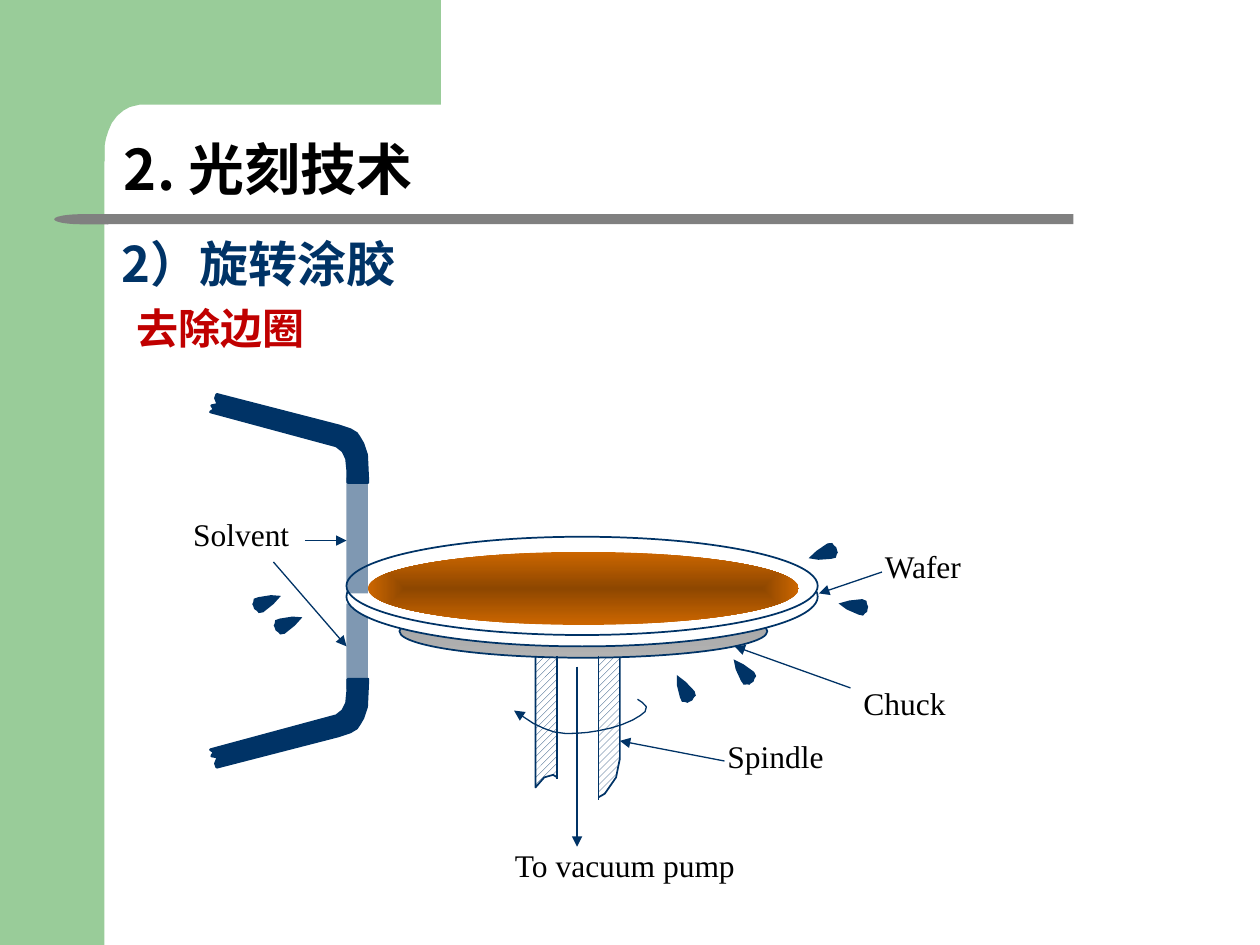
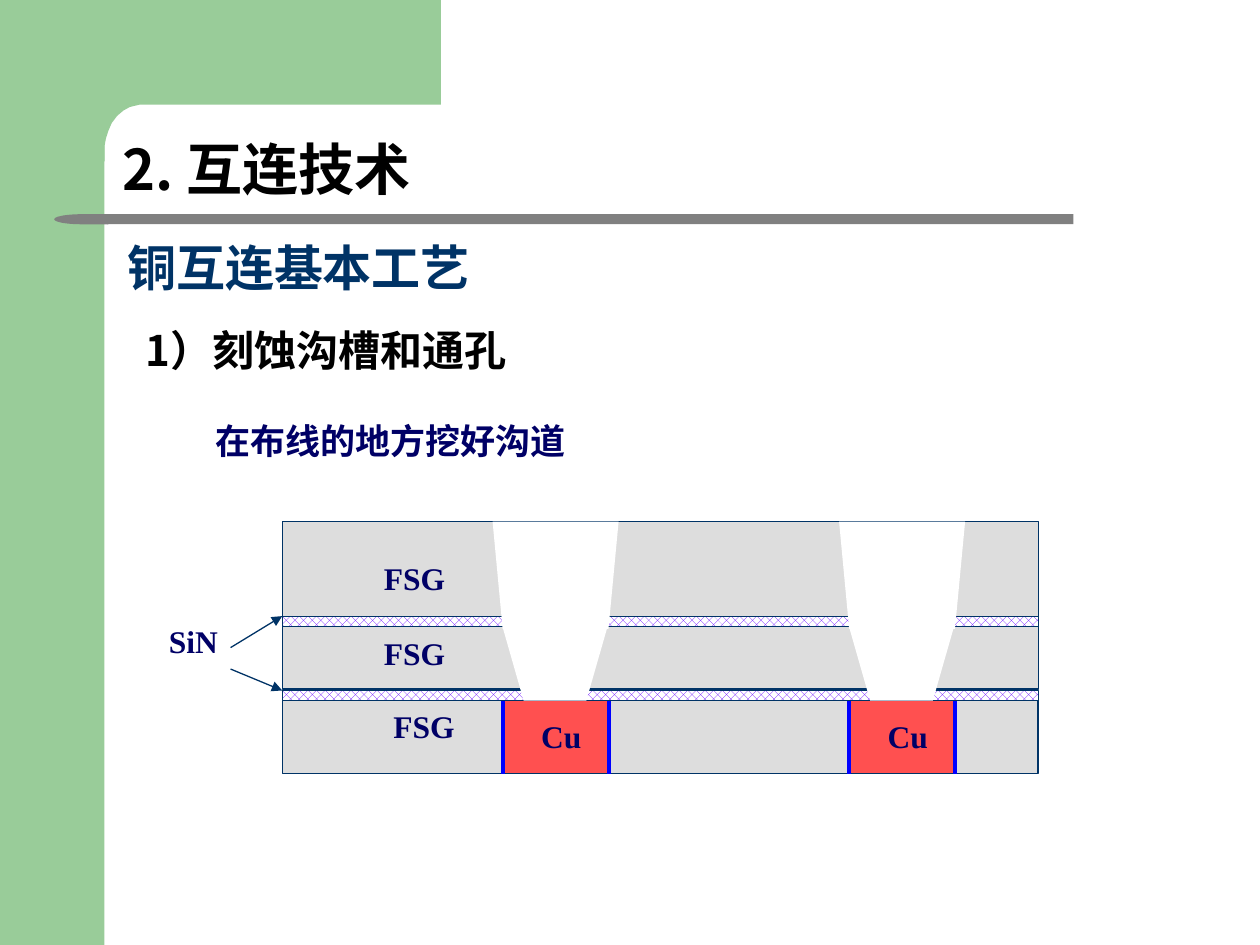
from dataclasses import dataclass
from typing import Any

from lxml import etree
from pptx import Presentation
from pptx.dml.color import RGBColor
from pptx.enum.dml import MSO_PATTERN
from pptx.enum.shapes import MSO_CONNECTOR, MSO_SHAPE
from pptx.enum.text import MSO_ANCHOR, MSO_AUTO_SIZE, PP_ALIGN
from pptx.oxml.ns import qn
from pptx.util import Inches, Pt

RECT, ELLIPSE, ROUNDED = MSO_SHAPE.RECTANGLE, MSO_SHAPE.OVAL, MSO_SHAPE.ROUNDED_RECTANGLE
FUNNEL, DELAY = MSO_SHAPE.FLOWCHART_MANUAL_OPERATION, MSO_SHAPE.FLOWCHART_DELAY
STRAIGHT = MSO_CONNECTOR.STRAIGHT
HATCH, DOTS = MSO_PATTERN.WIDE_UPWARD_DIAGONAL, MSO_PATTERN.PERCENT_50
LEFT, CENTER = PP_ALIGN.LEFT, PP_ALIGN.CENTER
BOTTOM, TOP = MSO_ANCHOR.BOTTOM, MSO_ANCHOR.TOP
NO_FIT = MSO_AUTO_SIZE.NONE

SANS, SERIF, ARIAL = "Noto Sans CJK SC", "Times New Roman", "Arial"
COLORS = {
    "band": "99CC99", "rule": "808080", "navy": "003366", "ink": "000066",
    "black": "000000", "white": "FFFFFF", "red": "C00000", "oxide": "DDDDDD",
    "copper": "FF5050", "barrier": "0000FF", "nitride": "6600FF",
    "chuck dark": "A0A0A0", "chuck light": "B2B2B2",
    "resist dark": "8E4700", "resist light": "CC6600",
}

# Outlines: two numbers are a corner, six a cubic curve.
CORNER = [(3, 0), (3, 0.83), (0.66, 0.83), (0.61, 0.83), (0.53, 0.85),
          (0.5, 0.86, 0.46, 0.89, 0.43, 0.92), (0.4, 0.95, 0.37, 1, 0.36, 1.04),
          (0.34, 1.08, 0.34, 1.12, 0.33, 1.16), (0.33, 1.28), (0, 1.28), (0, 0)]
PIPE = [(0.05, 0), (1.02, 0.25), (1.11, 0.28), (1.16, 0.31), (1.18, 0.34),
        (1.21, 0.39), (1.24, 0.48), (1.25, 0.7), (1.09, 0.7), (1.09, 0.61),
        (1.08, 0.51), (1.05, 0.45), (1, 0.41), (0, 0.14), (0.03, 0.12),
        (0.01, 0.09), (0.06, 0.08), (0.04, 0.03)]
SPINDLE = [(0, 0), (0, 1.19), (0.07, 1.11), (0.14, 1.09), (0.26, 1.16),
           (0.35, 1.25), (0.46, 1.29), (0.55, 1.24), (0.64, 1.11),
           (0.67, 0.96), (0.67, 0)]
SPIN = [(0.98, 0), (0.99, 0.01, 1.05, 0.04, 1.05, 0.06),
        (1.06, 0.09, 1.03, 0.11, 1, 0.13), (0.97, 0.15, 0.92, 0.18, 0.86, 0.2),
        (0.81, 0.22, 0.73, 0.24, 0.67, 0.25), (0.61, 0.26, 0.55, 0.27, 0.5, 0.27),
        (0.46, 0.28, 0.37, 0.27, 0.32, 0.26), (0.28, 0.25, 0.2, 0.22, 0.15, 0.19),
        (0.12, 0.17, 0.03, 0.11, 0, 0.09)]
DROP = [(0.23, 0.02), (0.23, 0.04, 0.12, 0.13, 0.09, 0.15),
        (0.05, 0.17, 0.05, 0.15, 0.04, 0.14), (0.02, 0.13, 0.01, 0.12, 0.01, 0.1),
        (0, 0.09, 0, 0.08, 0.01, 0.07), (0.01, 0.05, 0.01, 0.03, 0.05, 0.03),
        (0.09, 0.02, 0.22, 0, 0.23, 0.02)]
TRENCH = [(0, 0), (0.08, 0.85), (0.92, 0.85), (1, 0)]


def rgb(name):
    return RGBColor.from_string(COLORS[name])


def flatten(outline, steps=2):
    """Turn corners and cubic curves into plain points."""
    points = [outline[0]]
    for part in outline[1:]:
        if len(part) == 2:
            points.append(part)
            continue
        controls = [points[-1], part[:2], part[2:4], part[4:]]
        for step in range(1, steps + 1):
            t = step / steps
            weights = ((1 - t) ** 3, 3 * t * (1 - t) ** 2, 3 * t * t * (1 - t), t ** 3)
            points.append(tuple(sum(w * c[axis] for w, c in zip(weights, controls))
                                for axis in (0, 1)))
    return points


def paint(shape, fill, line=None, width=0.75):
    shape.shadow.inherit = False
    if fill:
        shape.fill.solid()
        shape.fill.fore_color.rgb = rgb(fill)
    else:
        shape.fill.background()
    if line:
        shape.line.color.rgb = rgb(line)
        shape.line.width = Pt(width)
    else:
        shape.line.fill.background()


def hatch(shape, pattern, color):
    shape.fill.patterned()
    shape.fill.pattern = pattern
    shape.fill.fore_color.rgb = rgb(color)
    shape.fill.back_color.rgb = rgb("white")


def shade(shape, first, last, radial=False):
    """Blend two colours downwards, or outwards from the centre."""
    shape.fill.gradient()
    shape.fill.gradient_angle = 270
    for stop, color in zip(shape.fill.gradient_stops, (first, last)):
        stop.color.rgb = rgb(color)
    if radial:
        gradient = shape.element.find(".//" + qn("a:gradFill"))
        direction = etree.Element(qn("a:path"), {"path": "shape"})
        center = dict.fromkeys("ltrb", "50000")
        etree.SubElement(direction, qn("a:fillToRect"), center)
        gradient.replace(gradient.find(qn("a:lin")), direction)


def half_transparent(shape):
    color = shape.element.spPr.find(qn("a:solidFill"))[0]
    etree.SubElement(color, qn("a:alpha"), {"val": "50000"})


def add_arrowhead(shape):
    outline = shape.element.spPr.find(qn("a:ln"))
    etree.SubElement(outline, qn("a:tailEnd"), {"type": "triangle"})


def write(box, text, size, color, font, bold=True, align=LEFT, anchor=TOP, spacing=1.0):
    frame = box.text_frame
    frame.text = text
    frame.auto_size = NO_FIT
    frame.word_wrap = align == LEFT
    frame.vertical_anchor = anchor
    para = frame.paragraphs[0]
    para.alignment, para.line_spacing = align, spacing
    span = para.runs[0]
    span.font.name, span.font.size, span.font.bold = font, Pt(size), bold
    span.font.color.rgb = rgb(color)
    etree.SubElement(span.font._element, qn("a:ea"), {"typeface": SANS})


@dataclass
class Region:
    """Part of a page; its parts are placed in inches from its corner."""
    page: Any
    left: float
    top: float

    def at(self, x, y):
        return Inches(self.left + x), Inches(self.top + y)

    def shape(self, kind, x, y, width, height, fill, line=None, weight=0.75):
        shape = self.page.shapes.add_shape(
            kind, *self.at(x, y), Inches(width), Inches(height))
        paint(shape, fill, line, weight)
        return shape

    def outline(self, points, x, y, fill, line=None, weight=0.75, close=True):
        start, *rest = [self.at(x + dx, y + dy) for dx, dy in flatten(points)]
        builder = self.page.shapes.build_freeform(*start)
        builder.add_line_segments(rest, close=close)
        shape = builder.convert_to_shape()
        paint(shape, fill, line, weight)
        return shape

    def line(self, start, end, color="navy", weight=0.75, arrow=False):
        line = self.page.shapes.add_connector(STRAIGHT, *self.at(*start), *self.at(*end))
        line.line.color.rgb = rgb(color)
        line.line.width = Pt(weight)
        if arrow:
            add_arrowhead(line)
        etree.SubElement(line.element.spPr, qn("a:effectLst"))

    def text(self, x, y, width, height, *words, **style):
        box = self.page.shapes.add_textbox(
            *self.at(x, y), Inches(width), Inches(height))
        write(box, *words, **style)


def decorate_layout(layout, page):
    """Draw the green frame and grey rule on the page, then hand them to the layout."""
    frame = Region(page, 0, 0)
    parts = [
        frame.shape(RECT, 0, 0, 0.83, 7.5, "band"),
        frame.outline(CORNER, 0.5, 0, "band"),
        frame.shape(RECT, 0.85, 1.7, 7.67, 0.08, "rule"),
        frame.shape(DELAY, 0.43, 1.7, 0.43, 0.08, "rule"),
    ]
    parts[-1].rotation = 180
    for index, part in enumerate(parts, 2):
        layout.shapes.element.insert(index, part.element)


def add_heading(page, x, y, width, height, text, size, color):
    box = Region(page, x, y).shape(ROUNDED, 0, 0, width, height, None)
    box.adjustments[0] = 0.22
    write(box, text, size, color, SANS, anchor=BOTTOM, spacing=0.9)


def set_title(page, x, y, width, height, text, size, color, font):
    title = page.shapes.title
    title.left, title.top = Inches(x), Inches(y)
    title.width, title.height = Inches(width), Inches(height)
    write(title, text, size, color, font, anchor=BOTTOM, spacing=0.9)


def draw_spin_coater(page, left, top):
    coater = Region(page, left, top)
    flipped_pipe = [(x, 0.71 - y) for x, y in PIPE]
    coater.outline(flipped_pipe, 0.67, 2.38, "navy", "navy", 1.5)
    half_transparent(coater.shape(RECT, 1.75, 1.79, 0.17, 0.68, "navy"))

    hatch(coater.outline(SPINDLE, 3.25, 2.06, "white", "navy", 1, close=False),
          HATCH, "navy")
    coater.shape(RECT, 3.42, 2.1, 0.33, 1.33, "white")
    chuck = coater.shape(ELLIPSE, 2.17, 1.8, 2.92, 0.42, "chuck light", "navy", 1)
    shade(chuck, "chuck dark", "chuck light")
    coater.line((3.58, 2.29), (3.58, 3.72), weight=1, arrow=True)
    for wafer_top, height in ((1.34, 0.79), (1.26, 0.78)):
        coater.shape(ELLIPSE, 1.75, wafer_top, 3.74, height, "white", "navy", 1)
    resist = coater.shape(ELLIPSE, 1.92, 1.38, 3.42, 0.58, "resist light")
    shade(resist, "resist dark", "resist light", radial=True)
    for x, bottom in ((3.42, 3.18), (3.75, 3.35)):
        coater.line((x, 2.21), (x, bottom))
    add_arrowhead(coater.outline(SPIN, 3.08, 2.55, None, "navy", close=False))

    coater.outline(PIPE, 0.67, 0.13, "navy", "navy", 1.5)
    half_transparent(coater.shape(RECT, 1.75, 0.79, 0.17, 0.92, "navy"))
    for x, y, angle in ((1, 1.71, 0), (1.17, 1.88, 0), (5.42, 1.29, 184.9),
                        (5.67, 1.71, 212.5), (4.33, 2.38, 265.1), (4.8, 2.24, 254.3)):
        coater.outline(DROP, x, y, "navy").rotation = angle

    for start, end in (((5.75, 2.46), (4.83, 2.13)), ((4.75, 3.04), (3.92, 2.88)),
                       ((6, 1.54), (5.5, 1.71)), ((1.42, 1.29), (1.75, 1.29)),
                       ((1.17, 1.46), (1.75, 2.13))):
        coater.line(start, end, arrow=True)
    for text, x, y, width, height, spacing in (
            ("Spindle", 4.67, 2.8, 0.97, 0.4, 1.0),
            ("Chuck", 5.75, 2.38, 0.86, 0.4, 1.0),
            ("Wafer", 5.92, 1.29, 0.81, 0.4, 1.0),
            ("Solvent", 0.25, 1.04, 1.33, 0.4, 1.0),
            ("To vacuum pump", 2.92, 3.72, 2.08, 0.34, 0.8)):
        coater.text(x, y, width, height, text, 18, "black", SERIF, bold=False,
                    align=CENTER, spacing=spacing)


def draw_trench_section(page, left, top):
    section = Region(page, left, top)
    pitch = 2.75
    section.shape(RECT, 0, 0, 6, 1.33, "oxide", "navy")
    section.shape(RECT, 1.75, 1.42, 3.58, 0.58, "copper", "navy")
    for x, width in ((0, 1.75), (2.59, 1.92), (5.34, 0.66)):
        section.shape(RECT, x, 1.42, width, 0.58, "oxide", "navy")
    for nitride_top in (0.75, 1.34):
        hatch(section.shape(RECT, 0, nitride_top, 6, 0.08, "white", "navy"),
              DOTS, "nitride")

    for x in (0, pitch):
        section.shape(FUNNEL, x + 1.75, 0.84, 0.83, 0.58, "white")
        section.outline(TRENCH, x + 1.67, 0, "white")
        for wall in (x + 1.75, x + 2.59):
            section.line((wall, 2), (wall, 1.42), "barrier", 2.25)

    section.line((-0.41, 1), (0, 0.75), arrow=True)
    section.line((-0.41, 1.17), (0, 1.34), arrow=True)
    for text, x, y, width in (
            ("FSG", 0.09, 0.25, 1.92), ("FSG", 0.09, 0.84, 1.92),
            ("FSG", 0.25, 1.42, 1.75), ("SiN", -1.08, 0.75, 0.75),
            ("Cu", 1.84, 1.5, 0.75), ("Cu", 1.84 + pitch, 1.5, 0.75)):
        section.text(x, y, width, 0.4, text, 18, "ink", SERIF, align=CENTER)


def build_spin_coating(page):
    draw_spin_coater(page, 1, 3)
    set_title(page, 0.98, 2.33, 2.13, 0.53, "去除边圈", 24, "red", ARIAL)
    add_heading(page, 0.83, 0.84, 3.54, 0.87, "2. 光刻技术", 32, "black")
    add_heading(page, 0.83, 1.86, 3.62, 0.55, "2）旋转涂胶", 28, "navy")


def build_copper_wiring(page):
    draw_trench_section(page, 2.24, 4.14)
    set_title(page, 0.91, 1.86, 4.72, 0.55, "铜互连基本工艺", 28, "navy", SANS)
    add_heading(page, 0.83, 0.99, 3.15, 0.71, "2. 互连技术", 32, "black")
    notes = Region(page, 1.06, 2.57)
    notes.text(0, 0, 5.09, 0.46, "1）刻蚀沟槽和通孔", 24, "black", SANS, spacing=0.9)
    notes.text(0.55, 0.71, 6.87, 0.44, "在布线的地方挖好沟道", 20, "ink", ARIAL)


def main():
    deck = Presentation()
    deck.slide_width, deck.slide_height = Inches(10), Inches(7.5)
    layout = deck.slide_layouts[5]
    pages = [deck.slides.add_slide(layout) for _ in range(2)]
    decorate_layout(layout, pages[0])
    build_spin_coating(pages[0])
    build_copper_wiring(pages[1])
    deck.save("out.pptx")


if __name__ == "__main__":
    main()
